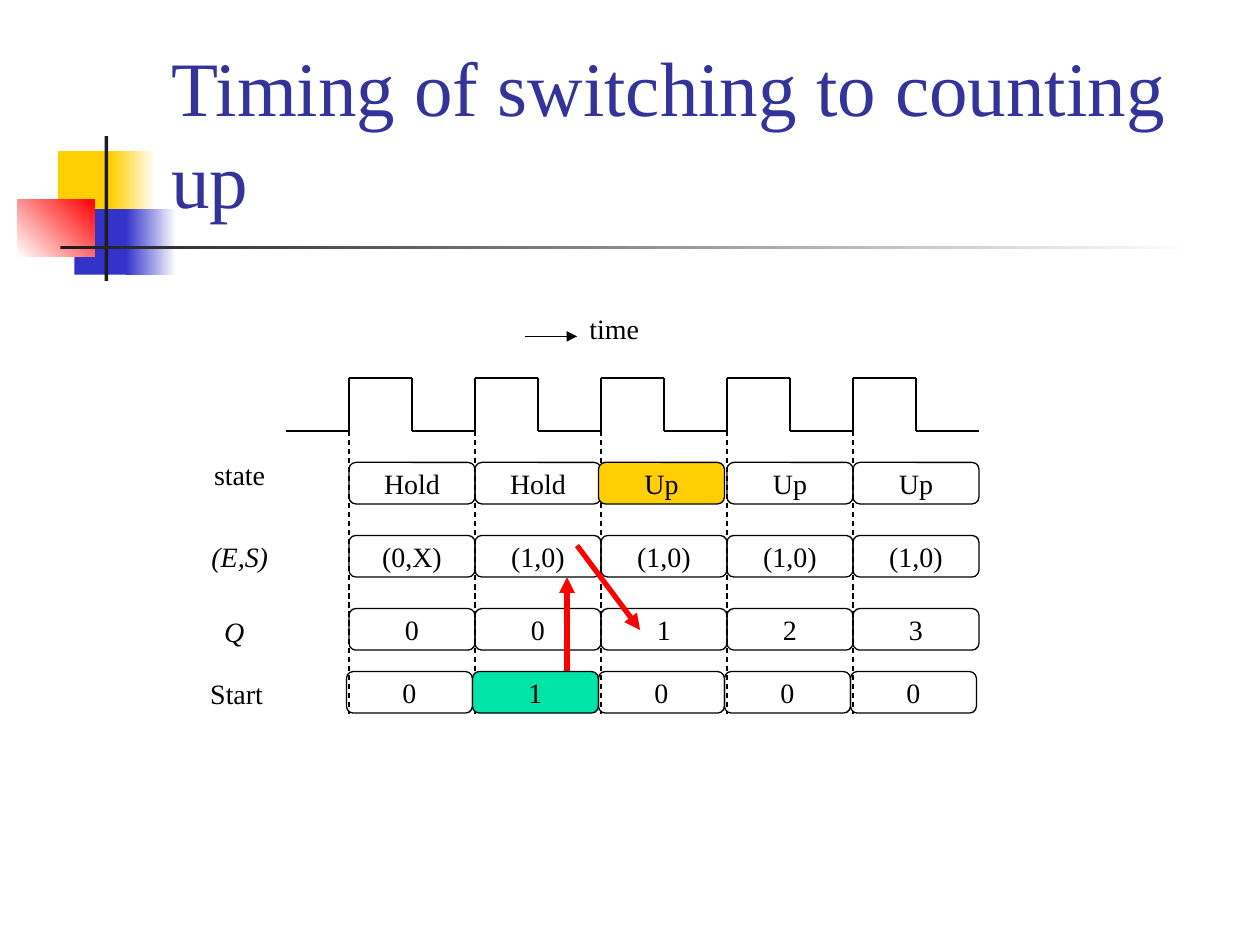
from dataclasses import dataclass
from itertools import pairwise
from typing import Optional

from pptx import Presentation
from pptx.dml.color import RGBColor
from pptx.enum.dml import MSO_LINE
from pptx.enum.shapes import MSO_CONNECTOR, MSO_SHAPE
from pptx.enum.text import MSO_ANCHOR, MSO_AUTO_SIZE, PP_ALIGN
from pptx.oxml.ns import qn
from pptx.util import Inches, Pt
from lxml.etree import SubElement

FONT = "Times New Roman"
BLACK, WHITE, RED = "000000", "FFFFFF", "FF0000"
YELLOW, BLUE, GREEN, DARK = "FFCF01", "3333CC", "00E4A8", "1C1C1C"
X0, PERIOD, CYCLES = 2.77, 1.0, 5
CLOCK_HIGH, CLOCK_LOW, GUIDE_END = 3.0, 3.42, 5.67
BOX_H = 0.33


@dataclass
class Bar:
    """Decorative rectangle; a second colour makes it a gradient."""
    left: float
    top: float
    width: float
    height: float
    color: str
    end: Optional[str] = None
    angle: float = 0


@dataclass
class Label:
    text: str
    left: float
    top: float
    width: float
    italic: bool = False


@dataclass
class Row:
    """One signal: its label and a box for every clock cycle."""
    label: Label
    top: float
    values: list[str]
    left: float = X0
    marked: Optional[int] = None
    mark_color: str = YELLOW
    mark_left: Optional[float] = None


BARS = [
    Bar(0.46, 1.2, 0.48, 0.52, YELLOW),
    Bar(0.88, 1.2, 0.36, 0.52, YELLOW, WHITE),
    Bar(0.59, 1.66, 0.46, 0.52, BLUE),
    Bar(1, 1.66, 0.4, 0.52, BLUE, WHITE),
    Bar(0.14, 1.58, 0.61, 0.46, WHITE, RED, 45),
    Bar(0.83, 1.08, 0.03, 1.15, DARK),
    Bar(0.48, 1.95, 9, 0.03, DARK, WHITE),
]
ROWS = [
    Row(Label("state", 1.6, 3.58, 0.61), 3.67,
        ["Hold", "Hold", "Up", "Up", "Up"], marked=2, mark_left=4.75),
    Row(Label("(E,S)", 1.58, 4.23, 0.65, True), 4.25, ["(0,X)"] + ["(1,0)"] * 4),
    Row(Label("Q", 1.68, 4.83, 0.36, True), 4.83, ["0", "0", "1", "2", "3"]),
]
START = Row(Label("Start", 1.57, 5.32, 0.62), 5.33, ["0", "1", "0", "0", "0"],
            left=2.75, marked=1, mark_color=GREEN)


def rgb(color: str) -> RGBColor:
    return RGBColor.from_string(color)


def add_text(tf, text: str, size: float = 16, color: str = BLACK,
             italic: bool = False):
    p = tf.paragraphs[0]
    r = p.add_run()
    r.text = text
    r.font.name, r.font.size, r.font.italic = FONT, Pt(size), italic
    r.font.color.rgb = rgb(color)
    return p


def add_bar(s, bar: Bar) -> None:
    sp = s.shapes.add_shape(MSO_SHAPE.RECTANGLE, Inches(bar.left), Inches(bar.top),
                            Inches(bar.width), Inches(bar.height))
    sp.shadow.inherit = False
    sp.line.fill.background()
    if bar.end is None:
        sp.fill.solid()
        sp.fill.fore_color.rgb = rgb(bar.color)
        return
    sp.fill.gradient()
    sp.fill.gradient_angle = bar.angle
    for stop, color in zip(sp.fill.gradient_stops, (bar.color, bar.end)):
        stop.color.rgb = rgb(color)


def add_line(s, start: tuple[float, float], end: tuple[float, float],
             color: str = BLACK, width: float = 0.75, dashed: bool = False,
             arrow: bool = False) -> None:
    sp = s.shapes.add_connector(MSO_CONNECTOR.STRAIGHT,
                                *map(Inches, (*start, *end)))
    sp.line.color.rgb = rgb(color)
    sp.line.width = Pt(width)
    if dashed:
        sp.line.dash_style = MSO_LINE.DASH
    if arrow:
        SubElement(sp.line._get_or_add_ln(), qn("a:tailEnd"), type="triangle")
    SubElement(sp._element.spPr, qn("a:effectLst"))


def add_label(s, label: Label) -> None:
    sp = s.shapes.add_textbox(Inches(label.left), Inches(label.top),
                              Inches(label.width), Inches(0.37))
    tf = sp.text_frame
    tf.word_wrap = False
    tf.auto_size = MSO_AUTO_SIZE.SHAPE_TO_FIT_TEXT
    add_text(tf, label.text, italic=label.italic)


def add_box(s, left: float, top: float, text: str, fill: Optional[str]) -> None:
    sp = s.shapes.add_shape(MSO_SHAPE.ROUNDED_RECTANGLE, Inches(left), Inches(top),
                            Inches(PERIOD), Inches(BOX_H))
    sp.shadow.inherit = False
    sp.adjustments[0] = 0.167
    sp.line.color.rgb = rgb(BLACK)
    sp.line.width = Pt(0.75)
    if fill:
        sp.fill.solid()
        sp.fill.fore_color.rgb = rgb(fill)
    else:
        sp.fill.background()
    tf = sp.text_frame
    tf.word_wrap = False
    tf.vertical_anchor = MSO_ANCHOR.MIDDLE
    add_text(tf, text).alignment = PP_ALIGN.CENTER


def add_row(s, row: Row) -> None:
    add_label(s, row.label)
    for i, value in enumerate(row.values):
        left, fill = row.left + i * PERIOD, None
        if i == row.marked:
            fill = row.mark_color
            left = row.mark_left or left
        add_box(s, left, row.top, value, fill)


def add_clock(s) -> None:
    points = [(X0 - PERIOD / 2, CLOCK_LOW)]
    for i in range(CYCLES):
        rise = X0 + i * PERIOD
        fall = rise + PERIOD / 2
        points += [(rise, CLOCK_LOW), (rise, CLOCK_HIGH),
                   (fall, CLOCK_HIGH), (fall, CLOCK_LOW)]
    points.append((X0 + CYCLES * PERIOD, CLOCK_LOW))
    for start, end in pairwise(points):
        add_line(s, start, end)


def main() -> None:
    prs = Presentation()
    prs.slide_width, prs.slide_height = Inches(10), Inches(7.5)
    s = prs.slides.add_slide(prs.slide_layouts[5])

    # Title
    title = s.shapes.title
    title.left, title.top = Inches(1.26), Inches(0.23)
    title.width, title.height = Inches(8.52), Inches(1.6)
    tf = title.text_frame
    tf.word_wrap = True
    tf.auto_size = MSO_AUTO_SIZE.NONE
    tf.vertical_anchor = MSO_ANCHOR.BOTTOM
    p = add_text(tf, "Timing of switching to counting up", 44, "333399")
    p.alignment = PP_ALIGN.LEFT

    # Corner decoration
    for bar in BARS:
        add_bar(s, bar)

    # Clock and the guides at its rising edges
    add_clock(s)
    for i in range(CYCLES):
        x = X0 + i * PERIOD
        add_line(s, (x, CLOCK_LOW), (x, GUIDE_END), dashed=True)

    # Signals, with the cause-and-effect arrows beneath the start row
    for row in ROWS:
        add_row(s, row)
    add_line(s, (4.58, 4.33), (5.08, 5), RED, 3, arrow=True)
    add_line(s, (4.5, 5.33), (4.5, 4.58), RED, 3, arrow=True)
    add_row(s, START)

    # Time direction
    add_line(s, (4.17, 2.67), (4.58, 2.67), arrow=True)
    add_label(s, Label("time", 4.58, 2.42, 0.6))

    prs.save("out.pptx")


if __name__ == "__main__":
    main()
